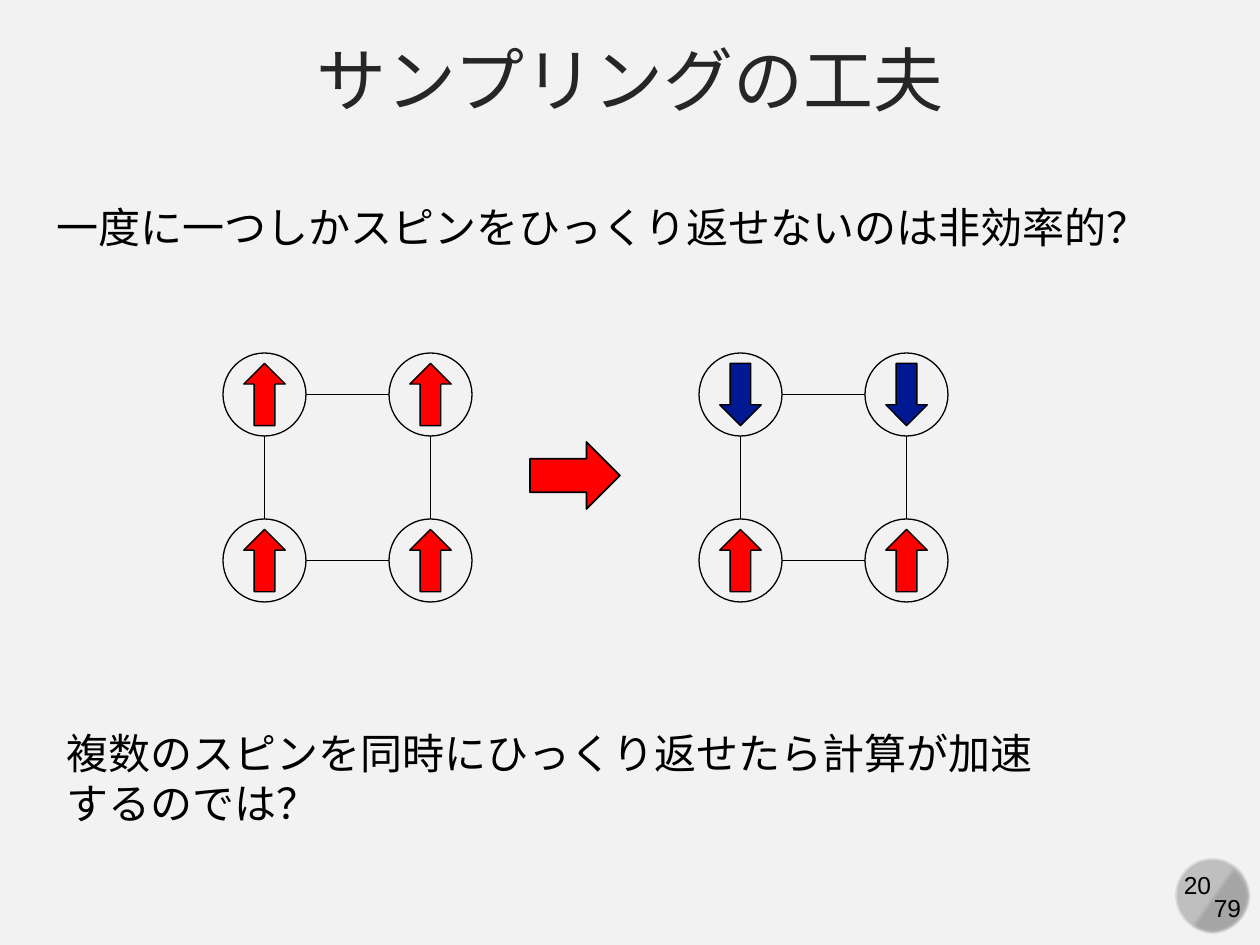
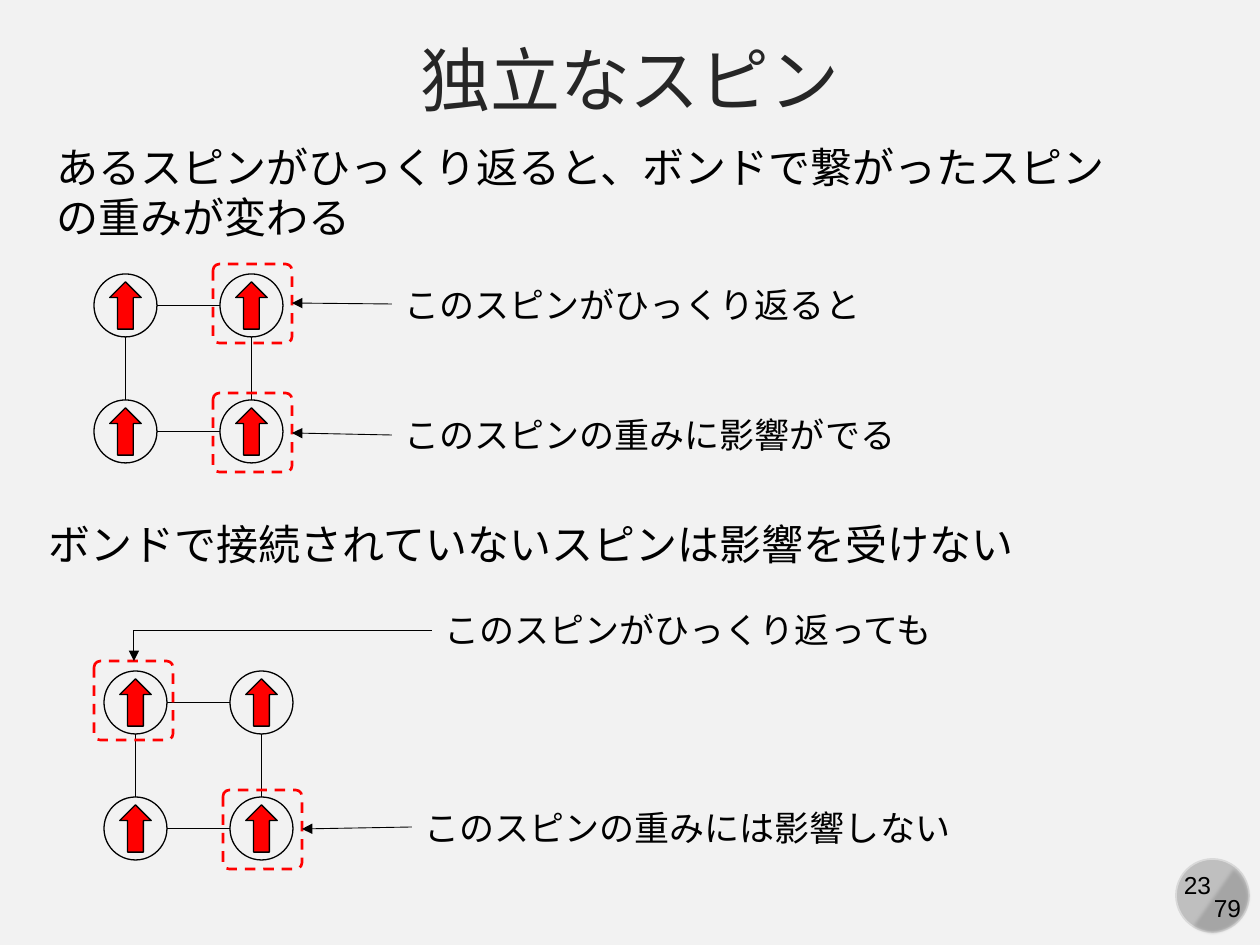
from dataclasses import dataclass

from lxml.etree import SubElement
from pptx import Presentation
from pptx.dml.color import RGBColor
from pptx.enum.dml import MSO_LINE
from pptx.enum.shapes import MSO_CONNECTOR, MSO_SHAPE
from pptx.enum.text import MSO_ANCHOR, PP_ALIGN
from pptx.oxml.ns import qn
from pptx.util import Emu, Pt


@dataclass(frozen=True)
class Theme:
    font: str = "Arial"
    background: str = "F2F2F2"
    title: str = "262626"
    ink: str = "000000"
    up: str = "FF0000"
    down: str = "011893"
    badge: str = "BFBFBF"
    badge_edge: str = "D9D9D9"
    badge_shade: str = "A6A6A6"
    title_size: int = 40
    body_size: int = 24
    label_size: int = 20
    page_size: int = 14
    thin: float = 0.5
    line: float = 0.75
    bold: float = 1.5


THEME = Theme()
EMU_PER_PX = 914400 / 126
WIDTH, HEIGHT = 1260, 945
TITLE_BOX = (0, 26, 1260, 104)
PAGE_TOTAL = 79
FRAME_SIDE = 79
LABEL_HEIGHT = 55

# Boxes are left, top, width, height; spins run row by row.
SLIDES = [
    {
        "title": "サンプリングの工夫",
        "page": 20,
        "statements": [
            ("一度に一つしかスピンをひっくり返せないのは非効率的？", (44, 195, 1142, 63)),
            ("複数のスピンを同時にひっくり返せたら計算が加速するのでは？", (54, 721, 1022, 115)),
        ],
        "lattices": [
            {"left": 223, "top": 353, "diameter": 83, "spins": ("up", "up", "up", "up")},
            {"left": 699, "top": 353, "diameter": 83, "spins": ("down", "down", "up", "up")},
        ],
        "flip_arrow": (530, 442, 90, 67),
    },
    {
        "title": "独立なスピン",
        "page": 23,
        "statements": [
            ("あるスピンがひっくり返ると、ボンドで繋がったスピンの重みが変わる", (44, 135, 1091, 115)),
            ("ボンドで接続されていないスピンは影響を受けない", (36, 512, 1091, 63)),
        ],
        "lattices": [
            {"left": 94, "top": 274, "diameter": 63, "spins": ("up", "up", "up", "up")},
            {"left": 104, "top": 671, "diameter": 63, "spins": ("up", "up", "up", "up")},
        ],
        "frames": [(213, 264), (213, 393), (94, 661), (223, 790)],
        "labels": [
            ("このスピンがひっくり返ると", (392, 277), 485),
            ("このスピンの重みに影響がでる", (392, 407), 520),
            ("このスピンがひっくり返っても", (432, 602), 520),
            ("このスピンの重みには影響しない", (412, 800), 556),
        ],
        "pointers": [
            ((392, 304), (292, 303)),
            ((392, 435), (292, 433)),
            ((412, 827), (302, 829)),
        ],
        "elbow_pointer": ((432, 630), (134, 661)),
    },
]


def px(*lengths):
    return [Emu(round(length * EMU_PER_PX)) for length in lengths]


def color(value):
    return RGBColor.from_string(value)


def style_text(text_frame, size, ink=THEME.ink, align=None):
    for paragraph in text_frame.paragraphs:
        paragraph.alignment = align
        for run in paragraph.runs:
            run.font.name = THEME.font
            run.font.size = Pt(size)
            run.font.color.rgb = color(ink)


def add_text(slide, text, box, size, wrap=True, align=None):
    text_frame = slide.shapes.add_textbox(*px(*box)).text_frame
    text_frame.word_wrap = wrap
    text_frame.text = text
    style_text(text_frame, size, align=align)


def add_figure(shapes, kind, box, fill=None, line=THEME.ink, width=THEME.line):
    """Add a preset shape; a fill or line of None is left empty."""
    shape = shapes.add_shape(kind, *px(*box))
    shape.shadow.inherit = False
    if fill:
        shape.fill.solid()
        shape.fill.fore_color.rgb = color(fill)
    else:
        shape.fill.background()
    if line:
        shape.line.color.rgb = color(line)
        shape.line.width = Pt(width)
    else:
        shape.line.fill.background()
    return shape


def add_line(shapes, start, end, width=THEME.line, arrow=False, elbow=False):
    kind = MSO_CONNECTOR.ELBOW if elbow else MSO_CONNECTOR.STRAIGHT
    connector = shapes.add_connector(kind, *px(*start, *end))
    connector.line.color.rgb = color(THEME.ink)
    connector.line.width = Pt(width)
    properties = connector._element.spPr
    if elbow:
        properties.find(qn("a:prstGeom")).set("prst", "bentConnector2")
    if arrow:
        SubElement(properties.find(qn("a:ln")), qn("a:tailEnd"), type="triangle")
    SubElement(properties, qn("a:effectLst"))


def add_lattice(slide, left, top, diameter, spins):
    """Group four spins in a square, one diameter apart, joined by bonds."""
    shapes = slide.shapes.add_group_shape().shapes
    arrows = {
        "up": (MSO_SHAPE.UP_ARROW, THEME.up),
        "down": (MSO_SHAPE.DOWN_ARROW, THEME.down),
    }
    pitch = 2 * diameter
    for index, spin in enumerate(spins):
        row, column = divmod(index, 2)
        x, y = left + column * pitch, top + row * pitch
        add_figure(shapes, MSO_SHAPE.OVAL, (x, y, diameter, diameter))
        kind, fill = arrows[spin]
        arrow_box = (x + diameter / 4, y + diameter / 8, diameter / 2, diameter * 3 / 4)
        add_figure(shapes, kind, arrow_box, fill)
    for offset in (0, pitch):
        x, y = left + offset + diameter / 2, top + offset + diameter / 2
        add_line(shapes, (x, top + diameter), (x, top + pitch))
        add_line(shapes, (left + diameter, y), (left + pitch, y))


def add_page_badge(slide, page):
    add_figure(slide.shapes, MSO_SHAPE.OVAL, (1176, 859, 73, 73),
               THEME.badge, THEME.badge_edge, 1)
    add_text(slide, str(page), (1170, 864, 55, 43), THEME.page_size, False, PP_ALIGN.CENTER)
    shade = add_figure(slide.shapes, MSO_SHAPE.CHORD, (1174, 857, 78, 78),
                       THEME.badge_shade, None)
    shade.rotation = 255
    shade.adjustments[0] = 27
    shade.adjustments[1] = 141.42
    effects = shade._element.spPr.find(qn("a:effectLst"))
    SubElement(effects, qn("a:softEdge"), rad="25400")
    add_text(slide, str(PAGE_TOTAL), (1201, 887, 53, 43), THEME.page_size, False, PP_ALIGN.CENTER)


def set_title(slide, text):
    title = slide.shapes.title
    title.left, title.top, title.width, title.height = px(*TITLE_BOX)
    title.text_frame.text = text
    title.text_frame.vertical_anchor = MSO_ANCHOR.MIDDLE
    style_text(title.text_frame, THEME.title_size, THEME.title, PP_ALIGN.CENTER)


def build_slide(presentation, content):
    slide = presentation.slides.add_slide(presentation.slide_layouts.get_by_name("Title Only"))
    add_page_badge(slide, content["page"])
    set_title(slide, content["title"])
    for text, box in content["statements"]:
        add_text(slide, text, box, THEME.body_size)
    for lattice in content["lattices"]:
        add_lattice(slide, **lattice)
    if "flip_arrow" in content:
        add_figure(slide.shapes, MSO_SHAPE.RIGHT_ARROW, content["flip_arrow"],
                   THEME.up, width=1)
    for corner in content.get("frames", []):
        frame = add_figure(slide.shapes, MSO_SHAPE.ROUNDED_RECTANGLE,
                           (*corner, FRAME_SIDE, FRAME_SIDE), None, THEME.up, THEME.bold)
        frame.adjustments[0] = 0.08
        frame.line.dash_style = MSO_LINE.DASH
    for text, corner, width in content.get("labels", []):
        add_text(slide, text, (*corner, width, LABEL_HEIGHT), THEME.label_size, wrap=False)
    for start, end in content.get("pointers", []):
        add_line(slide.shapes, start, end, THEME.thin, arrow=True)
    if "elbow_pointer" in content:
        add_line(slide.shapes, *content["elbow_pointer"], THEME.thin, arrow=True, elbow=True)


def main():
    presentation = Presentation()
    presentation.slide_width, presentation.slide_height = px(WIDTH, HEIGHT)
    background = presentation.slide_master.background.fill
    background.solid()
    background.fore_color.rgb = color(THEME.background)
    for content in SLIDES:
        build_slide(presentation, content)
    presentation.save("out.pptx")


if __name__ == "__main__":
    main()
